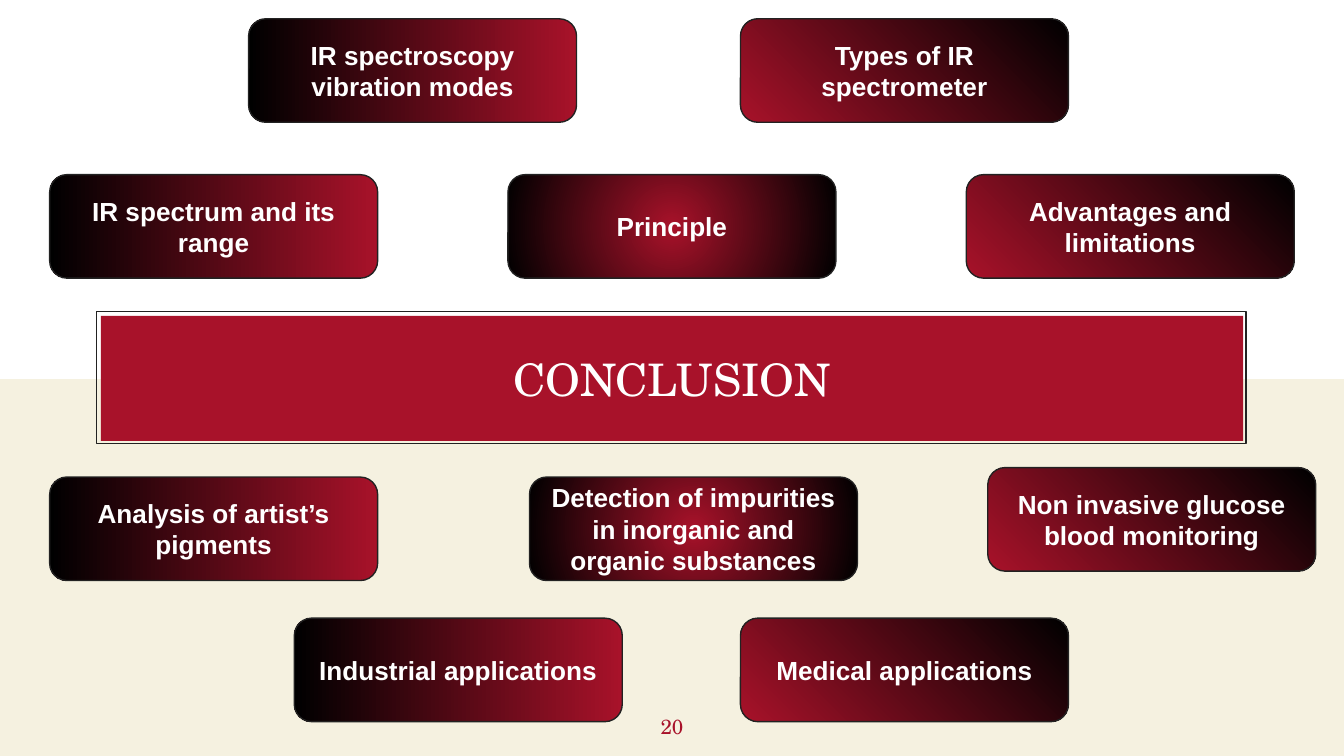
from pptx import Presentation
from pptx.dml.color import RGBColor
from pptx.enum import shapes, text
from pptx.oxml import parse_xml
from pptx.util import Inches, Pt

RED = RGBColor(0xA8, 0x12, 0x2A)
BLACK = RGBColor(0, 0, 0)
INK = RGBColor(0x22, 0x22, 0x22)
CREAM = RGBColor(0xF5, 0xF1, 0xE0)
WHITE = RGBColor(0xFF, 0xFF, 0xFF)
SERIF = "TeX Gyre Schola"
PAGE_WIDTH = 10
PAGE_HEIGHT = PAGE_WIDTH * 9 / 16
HORIZON = 2.82
BOX_WIDTH, BOX_HEIGHT = 2.44, 0.77
RADIAL = (
    '<a:path xmlns:a="http://schemas.openxmlformats.org/drawingml/2006/main" path="circle">'
    '<a:fillToRect l="50000" t="50000" r="50000" b="50000"/></a:path>'
)


def add_panel(kind, left, top, width, height):
    panel = page.shapes.add_shape(
        kind, Inches(left), Inches(top), Inches(width), Inches(height))
    panel.shadow.inherit = False
    return panel


def write_text(shape, words, anchor, size, name, color, bold=False):
    frame = shape.text_frame
    margins = dict.fromkeys(
        ["margin_left", "margin_top", "margin_right", "margin_bottom"], Inches(0.1))
    settings = {"word_wrap": True, "auto_size": text.MSO_AUTO_SIZE.NONE,
                "vertical_anchor": anchor, **margins}
    for key, value in settings.items():
        setattr(frame, key, value)
    para = frame.paragraphs[0]
    para.alignment = text.PP_ALIGN.CENTER
    span = para.add_run()
    span.text = words
    for key, value in {"size": Pt(size), "name": name, "bold": bold}.items():
        setattr(span.font, key, value)
    span.font.color.rgb = color


deck = Presentation()
deck.slide_width, deck.slide_height = Inches(PAGE_WIDTH), Inches(PAGE_HEIGHT)
page = deck.slides.add_slide(deck.slide_layouts[0])
page.background.fill.solid()
page.background.fill.fore_color.rgb = WHITE

# The subtitle is not needed
subtitle = page.placeholders[1]._element
subtitle.getparent().remove(subtitle)

# Cream lower half
lower_half = add_panel(
    shapes.MSO_SHAPE.RECTANGLE, 0, HORIZON, PAGE_WIDTH, PAGE_HEIGHT - HORIZON)
lower_half.fill.solid()
lower_half.fill.fore_color.rgb = CREAM
lower_half.line.fill.background()

# Thin frame around the title
title_frame = add_panel(shapes.MSO_SHAPE.RECTANGLE, 0.72, 2.32, 8.55, 0.98)
title_frame.fill.background()
title_frame.line.color.rgb = INK
title_frame.line.width = Pt(0.75)

# Title, raised above the frame
title = page.shapes.title
title_place = {"left": 0.75, "top": 2.35, "width": 8.5, "height": 0.93}
for key, value in title_place.items():
    setattr(title, key, Inches(value))
title.fill.solid()
title.fill.fore_color.rgb = RED
write_text(title, "CONCLUSION", text.MSO_ANCHOR.MIDDLE, 24, SERIF, WHITE)
title_frame._element.addnext(title._element)

# Page number
number = page.shapes.add_textbox(Inches(4.7), Inches(5.21), Inches(0.6), Inches(0.33))
write_text(number, "20", text.MSO_ANCHOR.TOP, 11, SERIF, RED)

# Topic boxes: left, top, gradient angle (None is radial), words
topics = [
    (0.37, 3.55, 180, "Analysis of artist’s pigments"),
    (5.51, 4.6, 45, "Medical applications"),
    (3.94, 3.55, None, "Detection of impurities in inorganic and organic substances"),
    (7.35, 3.48, 45, "Non invasive glucose blood monitoring"),
    (2.19, 4.6, 180, "Industrial applications"),
    (0.37, 1.3, 180, "IR spectrum and its range"),
    (3.78, 1.3, None, "Principle"),
    (7.19, 1.3, 45, "Advantages and limitations"),
    (1.85, 0.14, 180, "IR spectroscopy vibration modes"),
    (5.51, 0.14, 45, "Types of IR spectrometer"),
]
for left, top, angle, words in topics:
    box = add_panel(shapes.MSO_SHAPE.ROUNDED_RECTANGLE, left, top, BOX_WIDTH, BOX_HEIGHT)
    box.adjustments[0] = 0.167
    box.line.color.rgb = INK
    box.line.width = Pt(0.75)
    box.fill.gradient()
    for stop, color in zip(box.fill.gradient_stops, (RED, BLACK)):
        stop.color.rgb = color
    if angle is None:
        linear = next(box._element.spPr.iter("{*}lin"))
        linear.getparent().replace(linear, parse_xml(RADIAL))
    else:
        box.fill.gradient_angle = angle
    write_text(box, words, text.MSO_ANCHOR.MIDDLE, 14, "Arial", WHITE, bold=True)

deck.save("out.pptx")
